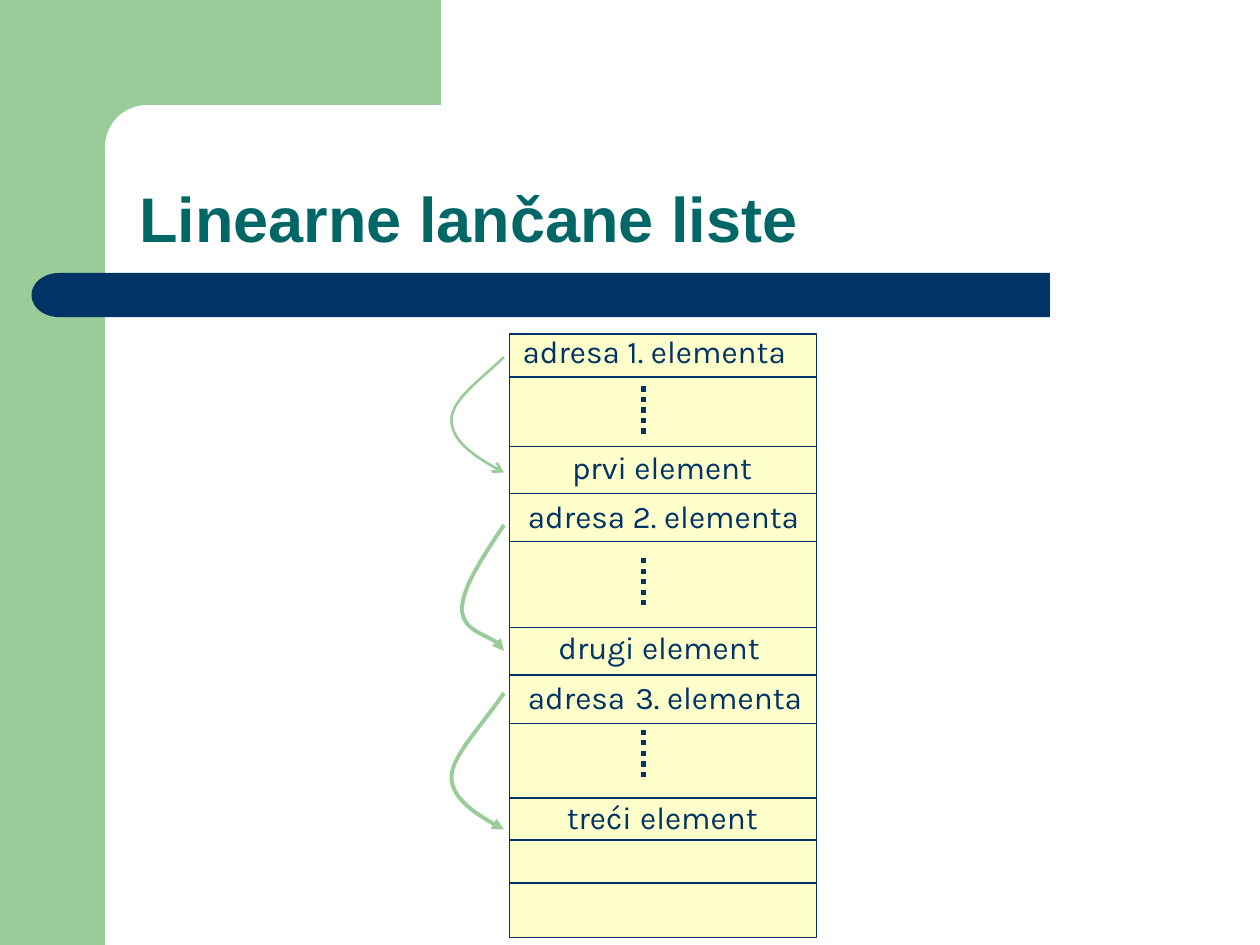
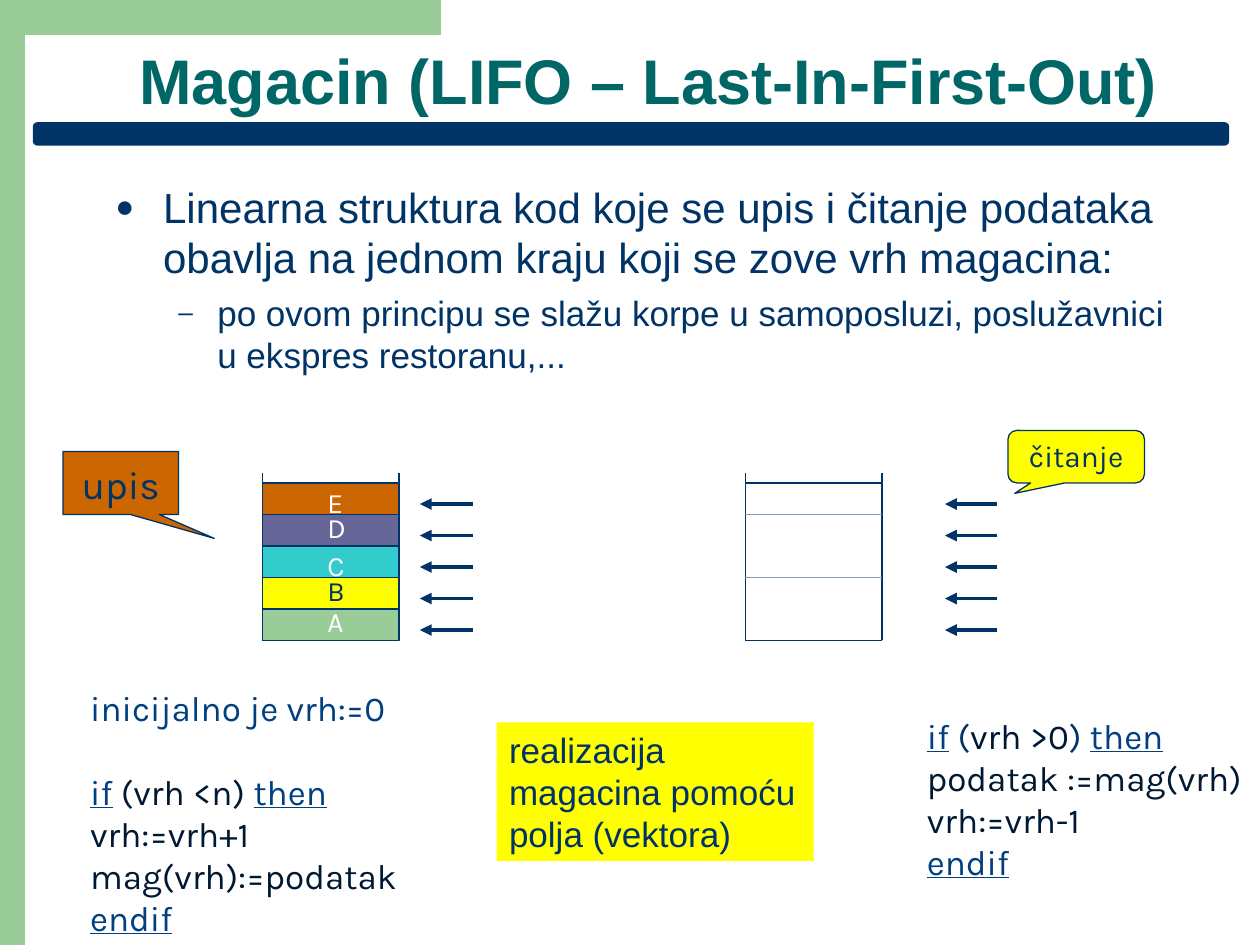
from lxml.etree import SubElement
from pptx import Presentation
from pptx.dml.color import RGBColor as Rgb
from pptx.enum.dml import MSO_LINE as Dash
from pptx.enum.shapes import MSO_CONNECTOR as Link, MSO_SHAPE as Kind
from pptx.enum.text import MSO_ANCHOR as Anchor, PP_ALIGN as Align
from pptx.oxml.ns import qn
from pptx.util import Inches, Pt

HUE = {
    "green": "99CC99", "navy": "003366", "teal": "006666", "white": "FFFFFF",
    "cream": "FFFFCC", "yellow": "FFFF00", "cyan": "33CCCC", "plum": "666699",
    "rust": "CC6600", "blue": "003F80", "ink": "001933", "grey": "8099B3",
}
TITLE = {"name": "Arial", "size": Pt(36), "bold": True}
BODY = {"name": "Arial", "size": Pt(24)}
NOTE = {"name": "Arial", "size": Pt(20)}
LABEL = {"name": "Karla", "size": Pt(18)}
CODE = {"name": "Karla", "size": Pt(20)}
MARK = {"name": "Karla", "size": Pt(16)}

# Grid of 120 columns by 90 rows
deck = Presentation()
deck.slide_width, deck.slide_height = Inches(10), Inches(7.5)
UNIT = deck.slide_width / 120


def box(slide, x, y, w, h, fill=None, edge=None, kind=Kind.RECTANGLE, adj=()):
    """Add a preset shape, or a text box when kind is None."""
    spot = [round(v * UNIT) for v in (x, y, w, h)]
    if kind is None:
        return slide.shapes.add_textbox(*spot)
    item = slide.shapes.add_shape(kind, *spot)
    item.shadow.inherit = False
    for k, v in enumerate(adj):
        item.adjustments[k] = v
    item.fill.solid()
    item.fill.fore_color.rgb = Rgb.from_string(HUE[fill])
    if edge:
        item.line.color.rgb = Rgb.from_string(HUE[edge])
        item.line.width = Pt(0.75)
    else:
        item.line.fill.background()
    return item


def write(item, rows, font, hue="navy", wrap=False, anchor=Anchor.BOTTOM, **form):
    """Fill a shape with rows; a row is a string or a list of (text, hue, changes)."""
    frame = item.text_frame
    frame.word_wrap, frame.vertical_anchor = wrap, anchor
    for k, row in enumerate(rows):
        para = frame.add_paragraph() if k else frame.paragraphs[0]
        for key, val in {"alignment": Align.LEFT, **form}.items():
            setattr(para, key, val)
        for words, tint, change in [(row, hue, {})] if isinstance(row, str) else row:
            run = para.add_run()
            run.text = words
            run.font.color.rgb = Rgb.from_string(HUE[tint])
            for key, val in {**font, **change}.items():
                setattr(run.font, key, val)
    return frame.paragraphs


# Shared green frame
chain, stack = [deck.slides.add_slide(deck.slide_layouts[6]) for _ in range(2)]
for page in (chain, stack):
    box(page, 0, 0, 10, 90, "green")
    box(page, 9, 0, 33, 14, "green")

# Title bands
box(chain, 10, 10, 67, 8, "white", kind=Kind.ROUNDED_RECTANGLE, adj=[0.5])
box(chain, 8, 26, 92, 4.2, "navy")
box(chain, 3, 26, 5.2, 4.2, "navy", kind=Kind.FLOWCHART_DELAY).rotation = 180
box(stack, 2.4, 3.4, 117.6, 86.6, "white", "white")
box(stack, 3.2, 11.7, 113.8, 2.1, "navy", "navy", Kind.ROUNDED_RECTANGLE, [0.17])

# Titles
for page, y, h, words in [
    (chain, 10, 15, "Linearne lančane liste"),
    (stack, 3, 8.8, "Magacin (LIFO – Last-In-First-Out)"),
]:
    write(box(page, 12.1, y, 105, h, kind=None), [words], TITLE, "teal",
          wrap=True, line_spacing=0.9)

# Straight lines: page, from, to, hue, weight, dash, head
lines = []

# Memory column with its cells
LEFT, WIDE = 48.5, 29.25
box(chain, LEFT, 31.8, WIDE, 57.5, "cream", "navy")
for y in (35.9, 42.5, 47, 51.6, 59.75, 64.3, 68.9, 76, 80, 84.1):
    lines.append((chain, (LEFT, y), (LEFT + WIDE, y), "navy", 0.75, None, None))
for y in (36.8, 53.15, 69.5):
    lines.append((chain, (61.3, y), (61.3, y + 4.6), "navy", 3, Dash.ROUND_DOT, None))

for x, low, w, words in [
    (48.6, 35.8, 29.3, "adresa 1. elementa"),
    (53.3, 46.9, 20.2, "prvi element"),
    (49.1, 51.5, 29.3, "adresa 2. elementa"),
    (52, 64, 22.3, "drugi element"),
    (49.1, 69, 29.5, [("adresa", "navy", {}), (" ", "navy", {"size": Pt(24)}),
                      ("3. elementa", "navy", {})]),
    (52.8, 80.3, 21.1, [("treći", "navy", {}), (" ", "navy", {"size": Pt(20)}),
                        ("element", "navy", {})]),
]:
    write(box(chain, x, low - 4.8, w, 4.8, kind=None), [words], LABEL)

# Curved pointers, each made of two Bezier arcs
strokes = []
for weight, head, dots in [
    (1.5, "arrow", [(LEFT, 33.8), (45.7, 36.2), (43, 38.5), (43, 40.4),
                    (43, 42.2), (45.7, 43.7), (LEFT, 45)]),
    (2.25, "triangle", [(LEFT, 49.6), (46.4, 52.7), (44.4, 55.7), (44.4, 57.7),
                        (44.4, 59.8), (47.8, 61.1), (LEFT, 61.8)]),
    (2.25, "triangle", [(LEFT, 66.4), (46, 69.1), (43.4, 71.9), (43.4, 73.9),
                        (43.4, 76.1), (46, 77.6), (LEFT, 79.1)]),
]:
    pen = chain.shapes.build_freeform(*dots[0], scale=UNIT)
    pen.add_line_segments(dots[1:], close=False)
    curve = pen.convert_to_shape()
    curve.fill.background()
    trace = curve._element.find(".//" + qn("a:path"))
    legs = trace.findall(qn("a:lnTo"))
    for k in (0, 3):
        arc = SubElement(trace, qn("a:cubicBezTo"))
        for leg in legs[k:k + 3]:
            arc.append(leg[0])
            trace.remove(leg)
    strokes.append((curve, "green", weight, None, head))

# Bulleted text
body = write(box(stack, 9.8, 16.7, 105, 49, kind=None), [
    "Linearna struktura kod koje se upis i čitanje podataka obavlja na jednom "
    "kraju koji se zove vrh magacina:",
    "po ovom principu se slažu korpe u samoposluzi, poslužavnici u ekspres "
    "restoranu,...",
], BODY, wrap=True, anchor=Anchor.TOP)
body[1].space_before = Pt(5)
body[1].runs[0].font.size = Pt(20)
for para, sign, pad, hang in zip(body, "●–", (0.38, 0.81), (0.38, 0.31)):
    props = para._p.get_or_add_pPr()
    props.set("marL", str(Inches(pad)))
    props.set("indent", str(-Inches(hang)))
    SubElement(SubElement(props, qn("a:buClr")), qn("a:srgbClr"), val=HUE["navy"])
    SubElement(props, qn("a:buSzPct"), val="75000")
    SubElement(props, qn("a:buFont"), typeface="Arial")
    SubElement(props, qn("a:buChar"), char=sign)

# Full stack
for k, (sign, fill, hue, y) in enumerate([
    ("E", "rust", "white", 45.6),
    ("D", "plum", "white", 48),
    ("C", "cyan", "white", 51.6),
    ("B", "yellow", "navy", 54),
    ("A", "green", "white", 57),
]):
    box(stack, 25, 46 + 3 * k, 13, 3, fill, "navy")
    write(box(stack, 30, y, 4.1, 4.4, kind=None), [sign], MARK, hue)

# Stack walls and arrows
for x, gap in ((25, 15), (71, 19)):
    for side in (x, x + 13):
        lines.append((stack, (side, 45), (side, 61), "navy", 0.75, None, None))
    lines.append((stack, (x, 61), (x + 13, 61), "navy", 0.75, None, None))
    for k in range(5):
        y = 48 + 3 * k
        lines.append((stack, (x + gap + 5, y), (x + gap, y), "navy", 2.25, None,
                      "triangle"))

# Levels of the empty stack
for y, hue, weight in ((46, "navy", 0.75), (49, "grey", 0.25), (55, "grey", 0.25)):
    lines.append((stack, (71, y), (84, y), hue, weight, None, None))

# Callouts
for spot, fill, kind, adj, words, size in [
    ((6, 43, 11, 6), "rust", Kind.RECTANGULAR_CALLOUT, [0.81, 0.88], "upis", 22.2),
    ((96, 41, 13, 5), "yellow", Kind.ROUNDED_RECTANGULAR_CALLOUT,
     [-0.45, 0.7, 0.17], "čitanje", 17),
]:
    write(box(stack, *spot, fill, "navy", kind, adj), [words],
          {"name": "Karla", "size": Pt(size)}, wrap=True,
          alignment=Align.CENTER, line_spacing=0.9)

# Code for writing and reading
KEY = {"underline": True}
push = write(box(stack, 7.4, 64.8, 32.3, 25.2, kind=None), [
    [("inicijalno je vrh:=0", "blue", {})],
    [("if", "blue", KEY), (" ", "navy", {}), ("(vrh <n) ", "ink", {}),
     ("then", "blue", KEY)],
    "vrh:=vrh+1",
    "mag(vrh):=podatak",
    [("endif", "blue", KEY)],
], CODE, "ink")
push[1].space_before = Pt(24)
write(box(stack, 87.1, 67.3, 33.1, 17.3, kind=None), [
    [("if", "blue", KEY), (" ", "blue", {}), ("(", "navy", {}),
     ("vrh >0", "ink", {}), (") ", "navy", {}), ("then", "blue", KEY)],
    "podatak :=mag(vrh)",
    "vrh:=vrh-1",
    [("endif", "blue", KEY)],
], CODE, "ink")
write(box(stack, 47.3, 68.8, 30.2, 13.2, "yellow"),
      ["realizacija magacina pomoću polja (vektora)"], NOTE, wrap=True)

# Draw the lines, then format every stroke
for page, start, end, *look in lines:
    ends = [round(v * UNIT) for v in start + end]
    strokes.append((page.shapes.add_connector(Link.STRAIGHT, *ends), *look))
for item, hue, weight, dash, head in strokes:
    item.line.color.rgb = Rgb.from_string(HUE[hue])
    item.line.width = Pt(weight)
    if dash:
        item.line.dash_style = dash
    if head:
        SubElement(item._element.find(".//" + qn("a:ln")), qn("a:tailEnd"), type=head)
    SubElement(item._element.spPr, qn("a:effectLst"))

deck.save("out.pptx")
